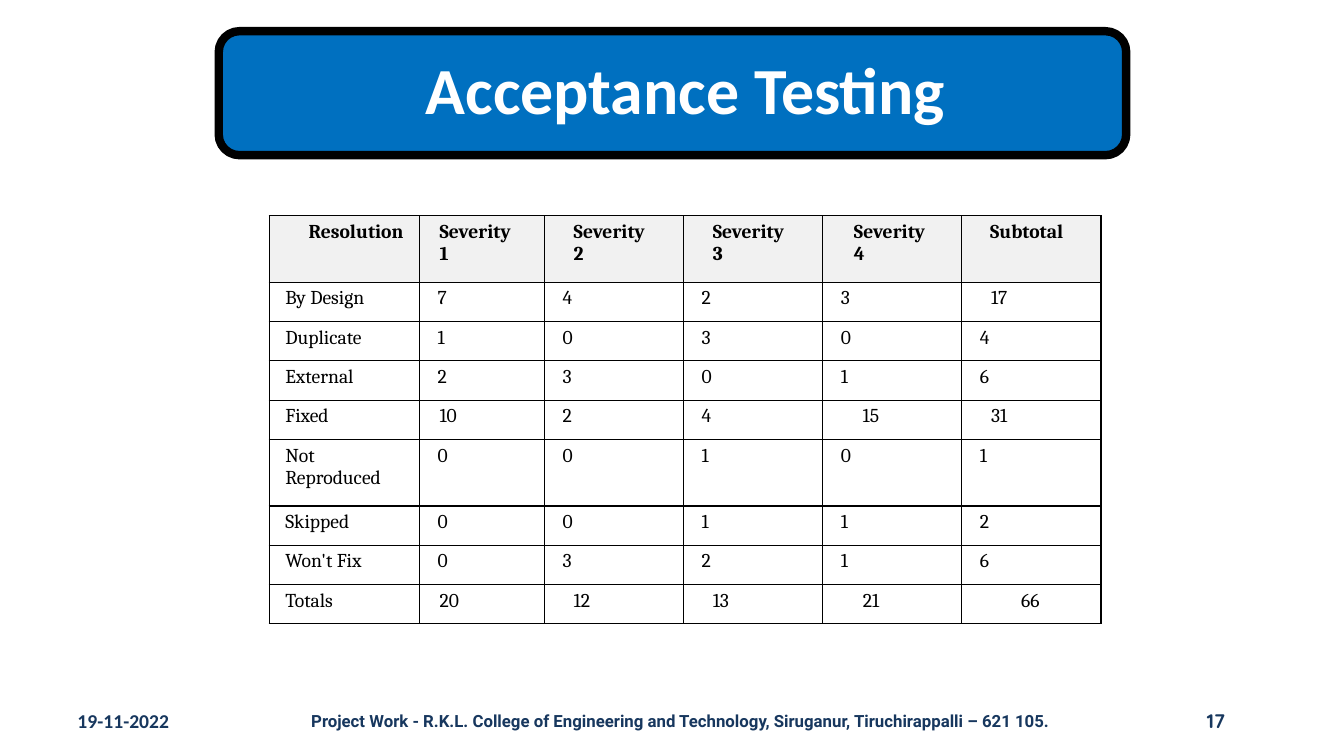
from lxml import etree
from pptx import Presentation
from pptx.dml.color import RGBColor
from pptx.enum import shapes, text
from pptx.oxml import ns
from pptx.util import Inches, Pt

BLACK = RGBColor(0x00, 0x00, 0x00)
WHITE = RGBColor(0xFF, 0xFF, 0xFF)
BLUE = RGBColor(0x00, 0x70, 0xC0)
NAVY = RGBColor(0x17, 0x37, 0x5E)
HEADER_GREY = RGBColor(0xF1, 0xF1, 0xF1)
LEFT, CENTER, RIGHT = text.PP_ALIGN.LEFT, text.PP_ALIGN.CENTER, text.PP_ALIGN.RIGHT

TITLE = "Acceptance Testing"
RESULTS = [
    ("Resolution", "Severity 1", "Severity 2", "Severity 3", "Severity 4", "Subtotal"),
    ("By Design", 7, 4, 2, 3, 17),
    ("Duplicate", 1, 0, 3, 0, 4),
    ("External", 2, 3, 0, 1, 6),
    ("Fixed", 10, 2, 4, 15, 31),
    ("Not\nReproduced", 0, 0, 1, 0, 1),
    ("Skipped", 0, 0, 1, 1, 2),
    ("Won't Fix", 0, 3, 2, 1, 6),
    ("Totals", 20, 12, 13, 21, 66),
]
# text, left, width, alignment, font, size
FOOTER = [
    ("19-11-2022", 0.67, 3.11, LEFT, "Calibri", 14),
    ("Project Work - R.K.L. College of Engineering and Technology, "
     "Siruganur, Tiruchirappalli – 621 105.", 2, 9.5, CENTER, "Roboto", 12),
    ("17", 9.56, 2.69, RIGHT, "Quicksand", 14),
]
COLUMN_WIDTHS = [1.49, 1.24, 1.38, 1.38, 1.38, 1.38]
TALL_ROW, ROW = 0.66, 0.39
HEADER_INDENTS = [0.29, 0.1, 0.19, 0.19, 0.21, 0.18]
WRAP_INDENT = 0.18  # right indent that sends the severity number to a second line


def add_run(paragraph, words, font, size, color, bold=True):
    run = paragraph.add_run()
    run.text = words
    run.font.name, run.font.size, run.font.bold = font, Pt(size), bold
    run.font.color.rgb = color


def cell_layout(row, column, value):
    """Return alignment, left indent and right indent in inches."""
    if row == 0:
        wraps = str(value).startswith("Severity")
        return LEFT, HEADER_INDENTS[column], WRAP_INDENT if wraps else 0
    if column == 0:
        return LEFT, 0.06, 0
    if value < 10:
        return LEFT, 0.08, 0
    if column == 4:
        return RIGHT, 0, 0.72
    if column == 5 and row == len(RESULTS) - 1:
        return CENTER, 0.44, 0.46
    return LEFT, 0.1 if column == 1 else 0.19, 0


def add_borders(cell):
    properties = cell._tc.get_or_add_tcPr()
    for side in ("lnL", "lnR", "lnT", "lnB"):
        line = etree.SubElement(properties, ns.qn("a:" + side), w=str(Pt(1)))
        fill = etree.SubElement(line, ns.qn("a:solidFill"))
        etree.SubElement(fill, ns.qn("a:srgbClr"), val=str(BLACK))


def fill_cell(cell, row, column, value):
    add_borders(cell)
    if row == 0:
        cell.fill.solid()
        cell.fill.fore_color.rgb = HEADER_GREY
    else:
        cell.fill.background()
    align, left, right = cell_layout(row, column, value)
    for number, words in enumerate(str(value).split("\n")):
        frame = cell.text_frame
        paragraph = frame.add_paragraph() if number else frame.paragraphs[0]
        paragraph.alignment = align
        indents = paragraph._p.get_or_add_pPr()
        indents.set("marL", str(Inches(left)))
        indents.set("marR", str(Inches(right)))
        indents.set("indent", "0")
        add_run(paragraph, words, "Cambria", 14, BLACK, bold=row == 0)


def add_title(slide):
    band = slide.shapes.add_shape(shapes.MSO_SHAPE.ROUNDED_RECTANGLE,
                                  Inches(2.17), Inches(0.31), Inches(9), Inches(1.23))
    band.shadow.inherit = False
    band.fill.solid()
    band.fill.fore_color.rgb = BLUE
    band.line.color.rgb = BLACK
    band.line.width = Pt(6)

    title = slide.shapes.title
    title._element.addprevious(band._element)
    title.left, title.top = Inches(2.23), Inches(0.37)
    title.width, title.height = Inches(8.88), Inches(1.11)
    frame = title.text_frame
    frame.auto_size = text.MSO_AUTO_SIZE.NONE
    frame.word_wrap = True
    frame.vertical_anchor = text.MSO_ANCHOR.MIDDLE
    frame.margin_left = Inches(0.46)
    frame.margin_right = frame.margin_top = frame.margin_bottom = Inches(0.2)
    paragraph = frame.paragraphs[0]
    paragraph.alignment = CENTER
    paragraph.line_spacing = 0.9
    add_run(paragraph, TITLE, "Calibri", 47, WHITE)


def add_results(slide):
    heights = [TALL_ROW if row == 0 or "\n" in values[0] else ROW
               for row, values in enumerate(RESULTS)]
    table = slide.shapes.add_table(
        len(RESULTS), len(COLUMN_WIDTHS), Inches(2.67), Inches(2.14),
        Inches(sum(COLUMN_WIDTHS)), Inches(sum(heights))).table
    table.horz_banding = False
    for column, width in zip(table.columns, COLUMN_WIDTHS):
        column.width = Inches(width)
    for row, values in enumerate(RESULTS):
        table.rows[row].height = Inches(heights[row])
        for column, value in enumerate(values):
            fill_cell(table.cell(row, column), row, column, value)


def add_footer(slide):
    for words, left, width, align, font, size in FOOTER:
        box = slide.shapes.add_textbox(Inches(left), Inches(6.95), Inches(width), Inches(0.4))
        box.text_frame.word_wrap = True
        box.text_frame.vertical_anchor = text.MSO_ANCHOR.MIDDLE
        paragraph = box.text_frame.paragraphs[0]
        paragraph.alignment = align
        add_run(paragraph, words, font, size, NAVY)


def main():
    deck = Presentation()
    deck.slide_width, deck.slide_height = Inches(13.33), Inches(7.5)
    slide = deck.slides.add_slide(deck.slide_layouts.get_by_name("Title Only"))
    add_title(slide)
    add_footer(slide)
    add_results(slide)
    deck.save("out.pptx")


if __name__ == "__main__":
    main()
